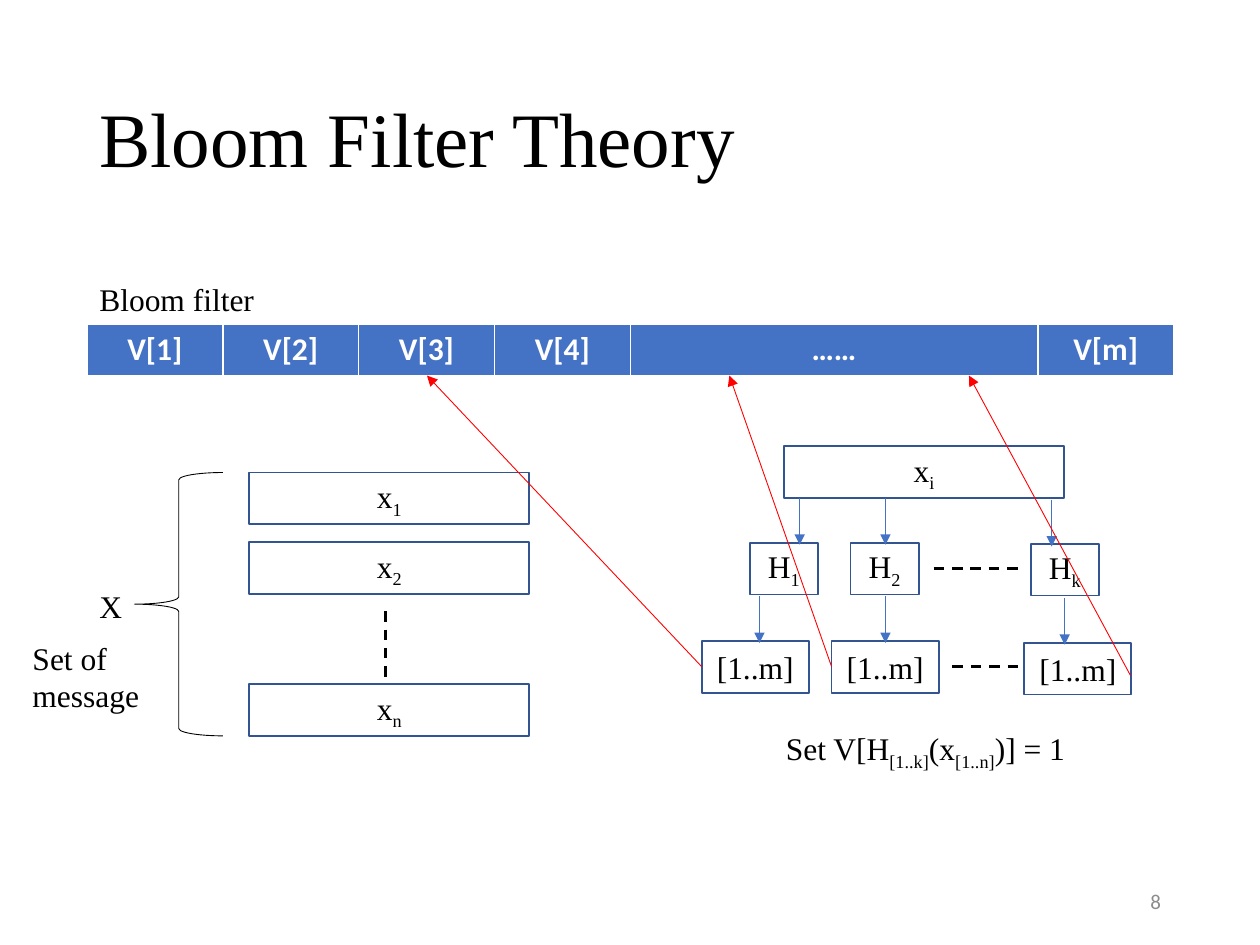
from pptx import Presentation
from pptx.dml.color import RGBColor
from pptx.enum.dml import MSO_LINE
from pptx.enum.shapes import MSO_CONNECTOR, MSO_SHAPE
from pptx.enum.text import MSO_ANCHOR, MSO_AUTO_SIZE, PP_ALIGN
from pptx.oxml.ns import qn
from pptx.util import Pt
from lxml.etree import SubElement

COLORS = {
    "text": "000000",
    "cell": "4472C4",
    "cell_text": "FFFFFF",
    "outline": "325491",
    "flow": "4472C4",
    "mapping": "FF0000",
    "number": "8C8C8C",
}
SERIF = "Times New Roman"
SANS = "Calibri"
BOX_H = 29.5


def color(name):
    return RGBColor.from_string(COLORS[name])


def add_run(paragraph, text, size=18, font=SERIF, fill="text", bold=False, sub=False):
    run = paragraph.add_run()
    run.text = text
    run.font.size = Pt(size)
    run.font.name = font
    run.font.bold = bold
    run.font.color.rgb = color(fill)
    if sub:
        run._r.get_or_add_rPr().set("baseline", "-25000")


def add_symbol(paragraph, parts):
    for index, part in enumerate(parts):
        add_run(paragraph, part, sub=index % 2 == 1)


def add_label(slide, x, y, w, h, *lines):
    frame = slide.shapes.add_textbox(Pt(x), Pt(y), Pt(w), Pt(h)).text_frame
    frame.word_wrap = False
    for index, parts in enumerate(lines):
        paragraph = frame.add_paragraph() if index else frame.paragraphs[0]
        add_symbol(paragraph, parts)


def add_outline(slide, preset, x, y, w, h, line, width):
    shape = slide.shapes.add_shape(preset, Pt(x), Pt(y), Pt(w), Pt(h))
    shape.shadow.inherit = False
    shape.fill.background()
    shape.line.color.rgb = color(line)
    shape.line.width = Pt(width)
    return shape


def add_box(slide, x, y, w, *parts):
    frame = add_outline(slide, MSO_SHAPE.RECTANGLE, x, y, w, BOX_H, "outline", 1).text_frame
    frame.vertical_anchor = MSO_ANCHOR.MIDDLE
    frame.paragraphs[0].alignment = PP_ALIGN.CENTER
    add_symbol(frame.paragraphs[0], parts)


def add_line(slide, x1, y1, x2, y2, line, width):
    connector = slide.shapes.add_connector(
        MSO_CONNECTOR.STRAIGHT, Pt(x1), Pt(y1), Pt(x2), Pt(y2))
    connector.line.color.rgb = color(line)
    connector.line.width = Pt(width)
    SubElement(connector._element.spPr, qn("a:effectLst"))
    return connector


def add_arrow(slide, x1, y1, x2, y2, line):
    arrow = add_line(slide, x1, y1, x2, y2, line, 0.5)
    SubElement(arrow.line._get_or_add_ln(), qn("a:tailEnd"), type="triangle")


def add_ellipsis(slide, x1, y1, x2, y2):
    add_line(slide, x1, y1, x2, y2, "text", 1.5).line.dash_style = MSO_LINE.DASH


def place_title(slide, x, y, w, h):
    title = slide.shapes.title
    title.left, title.top, title.width, title.height = Pt(x), Pt(y), Pt(w), Pt(h)
    frame = title.text_frame
    frame.auto_size = MSO_AUTO_SIZE.NONE
    frame.vertical_anchor = MSO_ANCHOR.MIDDLE
    paragraph = frame.paragraphs[0]
    paragraph.alignment = PP_ALIGN.LEFT
    paragraph.line_spacing = 0.9
    add_run(paragraph, "Bloom Filter Theory", 44)


def place_page_number(slide, x, y, w, h):
    frame = slide.shapes.add_textbox(Pt(x), Pt(y), Pt(w), Pt(h)).text_frame
    frame.word_wrap = True
    frame.vertical_anchor = MSO_ANCHOR.MIDDLE
    frame.paragraphs[0].alignment = PP_ALIGN.RIGHT
    add_run(frame.paragraphs[0], "8", 12, SANS, "number")


def place_bit_vector(slide, x, y, w):
    label_h = 28.8
    add_label(slide, x, y, 103.7, label_h, ["Bloom filter"])
    slots = {"V[1]": 1, "V[2]": 1, "V[3]": 1, "V[4]": 1, "……": 3, "V[m]": 1}
    unit = w / sum(slots.values())
    table = slide.shapes.add_table(
        1, len(slots), Pt(x), Pt(y + label_h), Pt(w), Pt(BOX_H)).table
    for index, (slot, span) in enumerate(slots.items()):
        table.columns[index].width = Pt(unit * span)
        cell = table.cell(0, index)
        cell.fill.solid()
        cell.fill.fore_color.rgb = color("cell")
        paragraph = cell.text_frame.paragraphs[0]
        paragraph.alignment = PP_ALIGN.CENTER
        add_run(paragraph, slot, 18, SANS, "cell_text", bold=True)


def place_message_set(slide, x, y, w, h):
    message_w = 160
    message_x = x + w - message_w
    for index, dy in (("1", 0), ("2", 39.8), ("n", h - BOX_H)):
        add_box(slide, message_x, y + dy, message_w, "x", index)
    add_ellipsis(slide, x + 208.8, y + 79.2, x + 208.8, y + 118)
    add_outline(slide, MSO_SHAPE.LEFT_BRACE, x + 65.5, y, 50.4, h, "text", 0.5)
    add_label(slide, x + 38.2, y + 62, 27.3, 28.8, ["X"])
    add_label(slide, x, y + 91.4, 76.3, 51, ["Set of"], ["message"])


def place_hashing(slide, x, y):
    hash_y, range_y = y + 55.3, y + 111.4
    hash_w, range_w = 39, 61.2
    add_box(slide, x + 47, y, 160, "x", "i")
    columns = (
        ("1", 27.4, 0, 56, 33, 0),
        ("2", 85, 74.2, 105, 105, 0),
        ("k", 188, 184.3, 200, 207.4, 1),
    )
    for index, hash_dx, range_dx, input_dx, output_dx, drop in columns:
        add_box(slide, x + hash_dx, hash_y + drop / 2, hash_w, "H", index)
        add_box(slide, x + range_dx, range_y + drop, range_w, "[1..m]")
        add_arrow(slide, x + input_dx, y + BOX_H + drop,
                  x + input_dx, hash_y + 1 + drop, "flow")
        add_arrow(slide, x + output_dx, hash_y + BOX_H + 1 + drop,
                  x + output_dx, range_y + 1 + drop, "flow")
    add_ellipsis(slide, x + 132.5, y + 69.8, x + 182.2, y + 69.8)
    add_ellipsis(slide, x + 143.3, y + 126, x + 182.2, y + 126)
    vector_y = y - 40.4
    for start_dx, start_dy, slot_dx in ((0, 126, -157), (74.2, 126, 15.8), (245, 131, 152.7)):
        add_arrow(slide, x + start_dx, y + start_dy, x + slot_dx, vector_y, "mapping")
    add_label(slide, x + 41, y + 158.3, 182.2, 28.8,
              ["Set V[H", "[1..k]", "(x", "[1..n]", ")] = 1"])


def main():
    deck = Presentation()
    deck.slide_width, deck.slide_height = Pt(720), Pt(540)
    slide = deck.slides.add_slide(deck.slide_layouts[5])
    place_title(slide, 49.5, 29, 621, 104.4)
    place_page_number(slide, 508.5, 500.5, 162, 28.8)
    place_bit_vector(slide, 49.7, 156.3, 621)
    place_message_set(slide, 11.5, 270, 291, 150.5)
    place_hashing(slide, 401, 255)
    deck.save("out.pptx")


if __name__ == "__main__":
    main()
